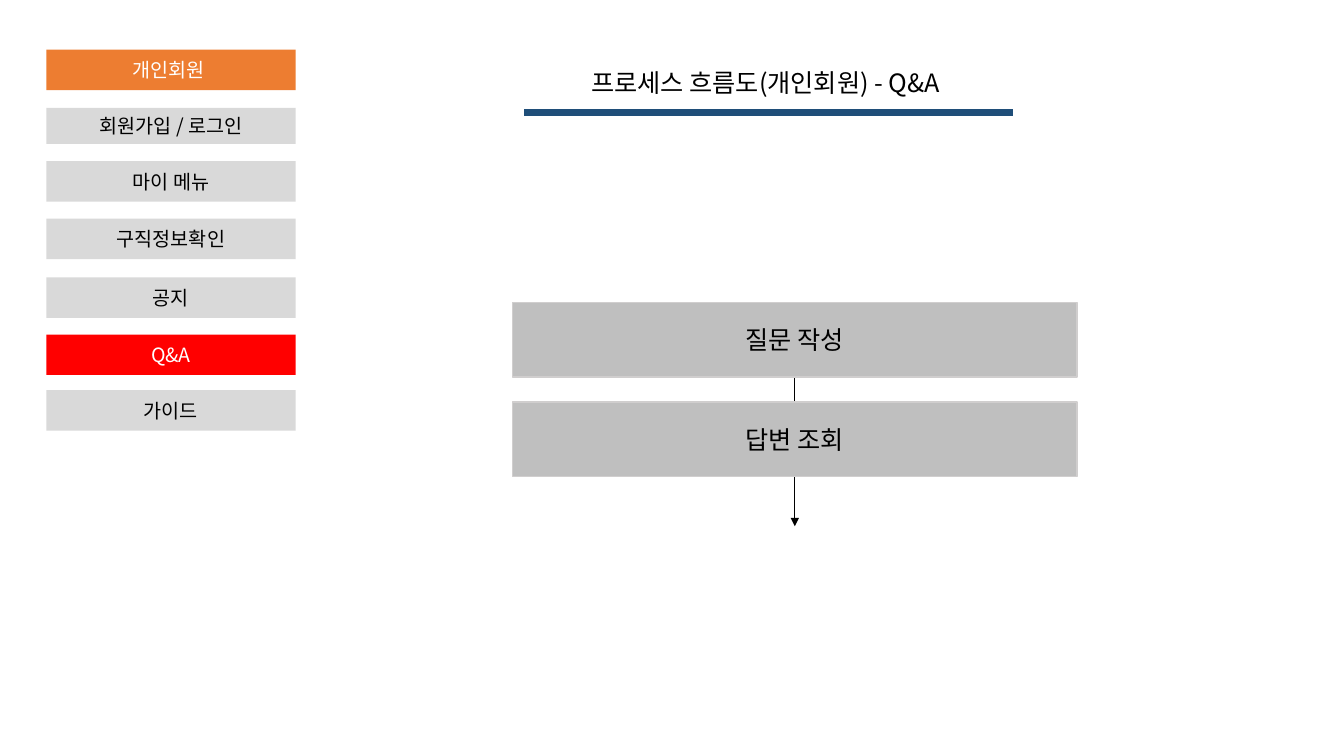
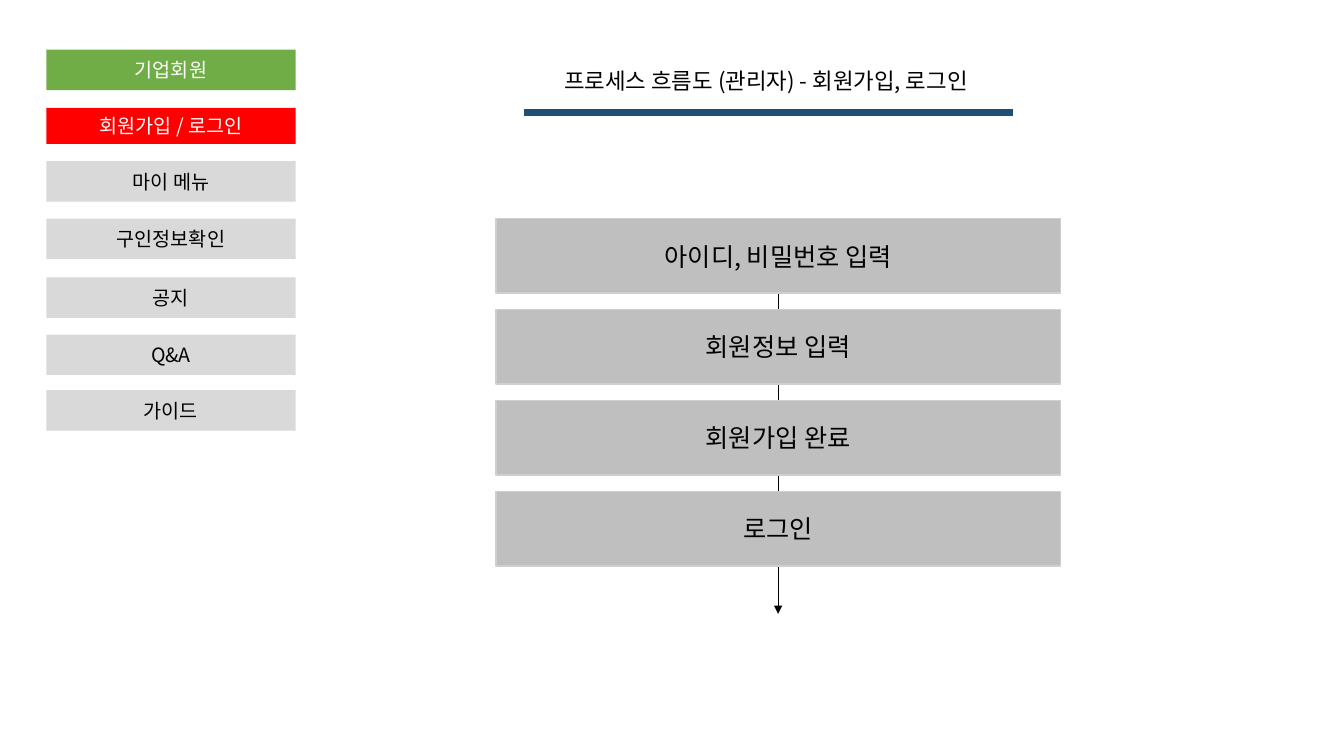
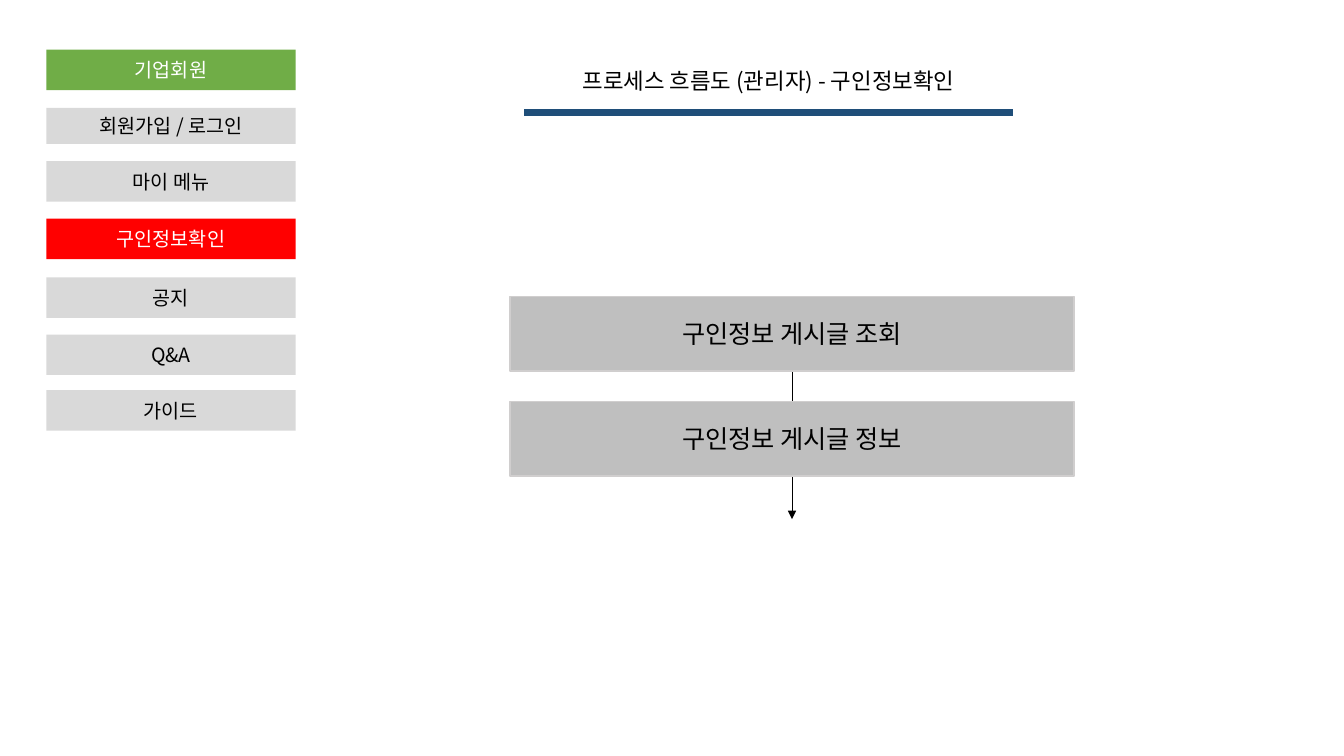
import dataclasses

import pptx
import pptx.dml.color
import pptx.enum.shapes
import pptx.enum.text
import pptx.oxml
import pptx.oxml.ns
import pptx.util

Cm = pptx.util.Cm
Pt = pptx.util.Pt
Rgb = pptx.dml.color.RGBColor.from_string
Text = pptx.enum.text
Kind = pptx.enum.shapes


@dataclasses.dataclass(frozen=True)
class Theme:
    font: str = "Noto Sans CJK KR"
    ink: str = "000000"
    white: str = "FFFFFF"
    gray: str = "D9D9D9"
    step: str = "BFBFBF"
    edge: str = "D0CECE"
    rule: str = "1F4E79"
    hot: str = "FF0000"
    orange: str = "ED7D31"
    green: str = "70AD47"
    small: int = 14
    mid: int = 16
    large: int = 18


THEME = Theme()


def extend(parent, tag, **attrs):
    node = pptx.oxml.parse_xml(f"<{tag} {pptx.oxml.ns.nsdecls('a')}/>")
    for key, value in attrs.items():
        node.set(key, value)
    parent.append(node)


def write(shape, text, size=THEME.small, color=THEME.ink,
          anchor=Text.MSO_ANCHOR.MIDDLE):
    frame = shape.text_frame
    frame.word_wrap = True
    frame.vertical_anchor = anchor
    para = frame.paragraphs[0]
    para.alignment = Text.PP_ALIGN.CENTER
    run = para.add_run()
    run.text = text
    run.font.size = Pt(size)
    run.font.color.rgb = Rgb(color)
    run.font.name = THEME.font
    extend(run.font._element, "a:ea", typeface=THEME.font)


class Deck:
    """Draw process slides with a side menu, a ruled title and a chain of steps."""

    left, wide = 1.17, 6.28
    rows = [(1.25, 1.02), (2.72, 0.91), (4.06, 1.02), (5.51, 1.02),
            (6.99, 1.02), (8.43, 1.02), (9.83, 1.02)]
    span, tall = 14.22, 1.88

    def __init__(self):
        self.file = pptx.Presentation()
        self.file.slide_width = Cm(33.87)
        self.file.slide_height = Cm(19.05)
        self.slide = None

    def start(self, text, size):
        self.slide = self.file.slides.add_slide(self.file.slide_layouts[5])
        title = self.slide.shapes.title
        title.left, title.top = Cm(13.22), Cm(1.57)
        title.width, title.height = Cm(12.29), Cm(1.02)
        write(title, text, size=size, anchor=Text.MSO_ANCHOR.TOP)
        title.text_frame.auto_size = Text.MSO_AUTO_SIZE.SHAPE_TO_FIT_TEXT
        self.line(13.21, 2.84, 25.53, 2.84, THEME.rule, 5)

    def line(self, x1, y1, x2, y2, color, width, arrow=False):
        line = self.slide.shapes.add_connector(
            Kind.MSO_CONNECTOR.STRAIGHT, Cm(x1), Cm(y1), Cm(x2), Cm(y2))
        line.line.color.rgb = Rgb(color)
        line.line.width = Pt(width)
        if arrow:
            extend(line.line._get_or_add_ln(), "a:tailEnd", type="triangle")
        extend(line._element.spPr, "a:effectLst")

    def box(self, x, y, w, h, text, fill, edge=None, **style):
        box = self.slide.shapes.add_shape(
            Kind.MSO_SHAPE.RECTANGLE, Cm(x), Cm(y), Cm(w), Cm(h))
        box.shadow.inherit = False
        box.fill.solid()
        box.fill.fore_color.rgb = Rgb(fill)
        if edge:
            box.line.color.rgb = Rgb(edge)
            box.line.width = Pt(1)
        else:
            box.line.fill.background()
        write(box, text, **style)

    def menu(self, head, tint, info, active):
        items = [head, "회원가입 / 로그인", "마이 메뉴", info, "공지", "Q&A", "가이드"]
        fills = {head: tint, active: THEME.hot}
        for text, (top, height) in zip(items, self.rows):
            self.box(self.left, top, self.wide, height, text,
                     fills.get(text, THEME.gray),
                     color=THEME.white if text in fills else THEME.ink)

    def flow(self, x, top, pitch, end, steps):
        mid = x + self.span / 2
        self.line(mid, top, mid, end, THEME.ink, 0.5, arrow=True)
        for i, text in enumerate(steps):
            self.box(x, top + i * pitch, self.span, self.tall, text,
                     THEME.step, THEME.edge, size=THEME.large)


def main():
    deck = Deck()
    person = ("개인회원 ", THEME.orange, "구직정보확인")
    firm = ("기업회원", THEME.green, "구인정보확인")

    deck.start("프로세스 흐름도(개인회원) - Q&A ", THEME.large)
    deck.menu(*person, active="Q&A")
    deck.flow(12.92, 7.62, 2.51, 13.26, ["질문 작성", "답변 조회"])

    deck.start("프로세스 흐름도 (관리자) - 회원가입, 로그인 ", THEME.mid)
    deck.menu(*firm, active="회원가입 / 로그인")
    deck.flow(12.5, 5.51, 2.29, 15.47,
              ["아이디, 비밀번호 입력", "회원정보 입력", "회원가입 완료", "로그인"])

    deck.start("프로세스 흐름도 (관리자) - 구인정보확인", THEME.mid)
    deck.menu(*firm, active="구인정보확인")
    deck.flow(12.85, 7.47, 2.65, 13.08,
              ["구인정보 게시글 조회", "구인정보 게시글 정보"])

    deck.file.save("out.pptx")


if __name__ == "__main__":
    main()
